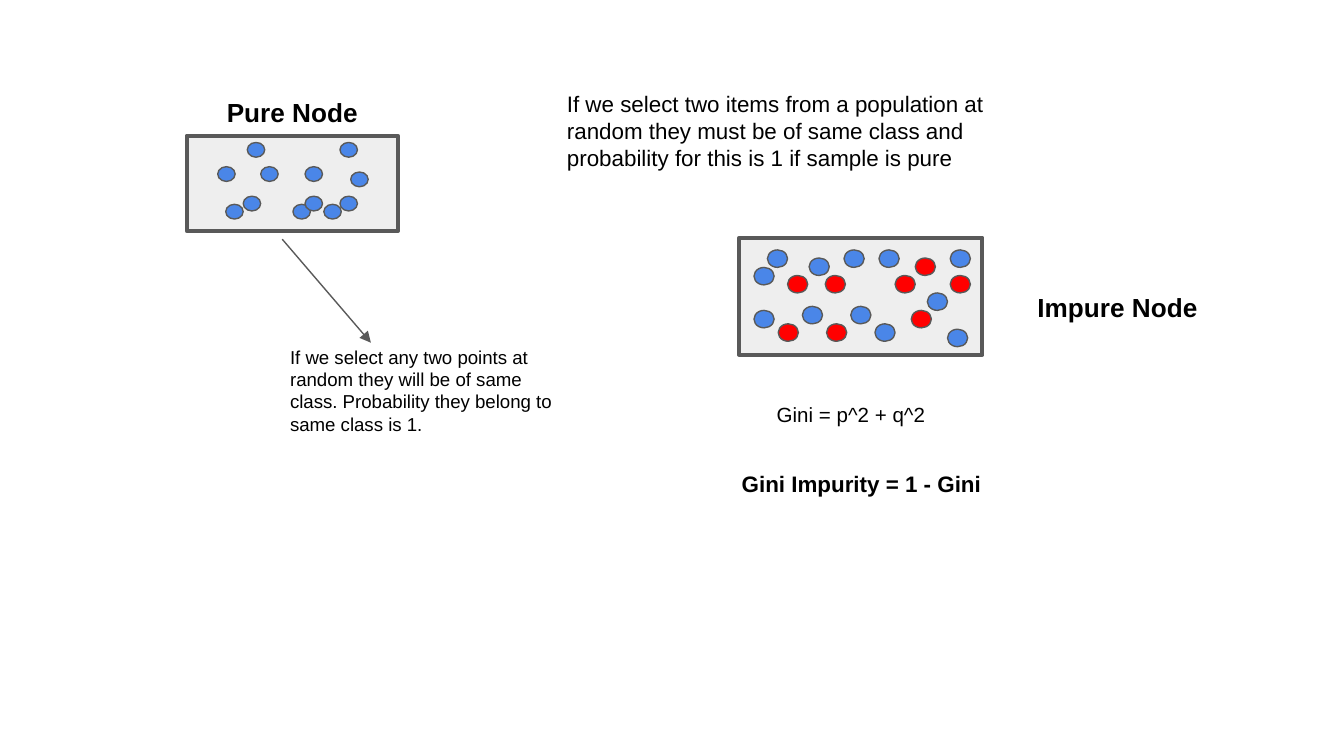
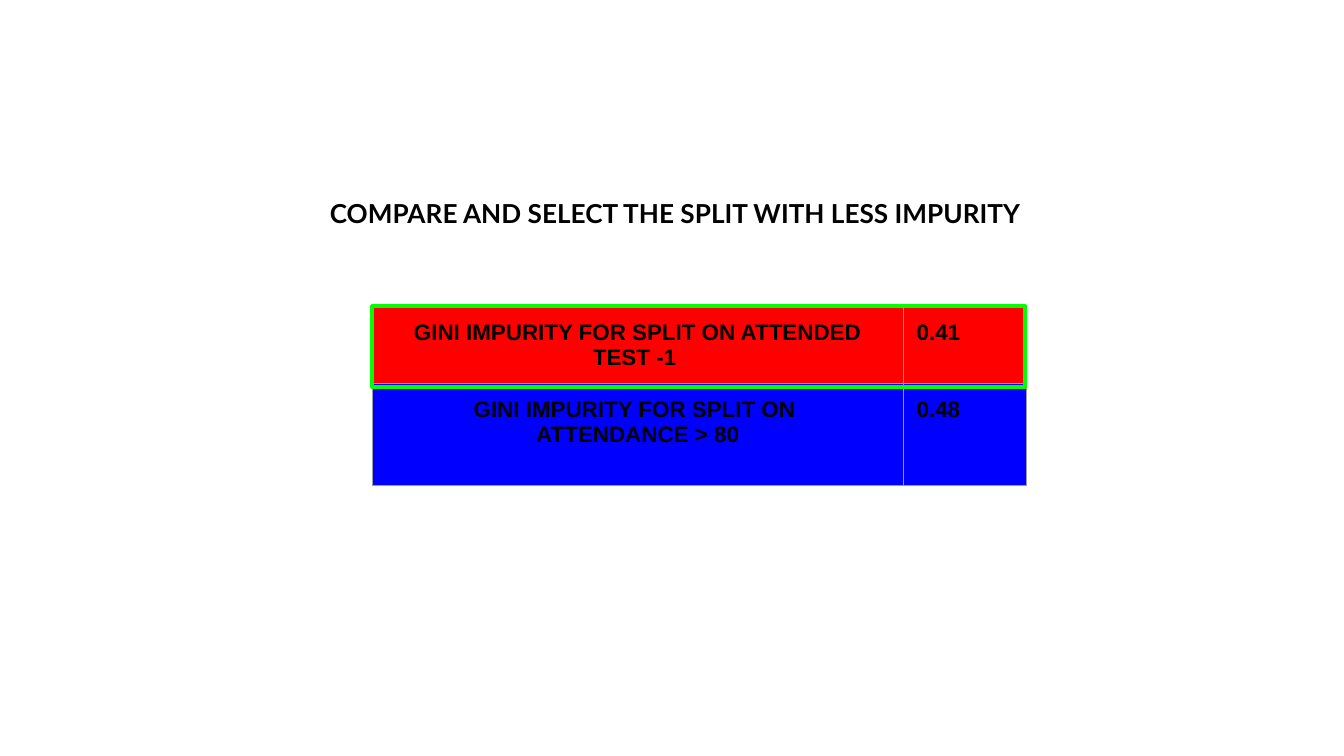
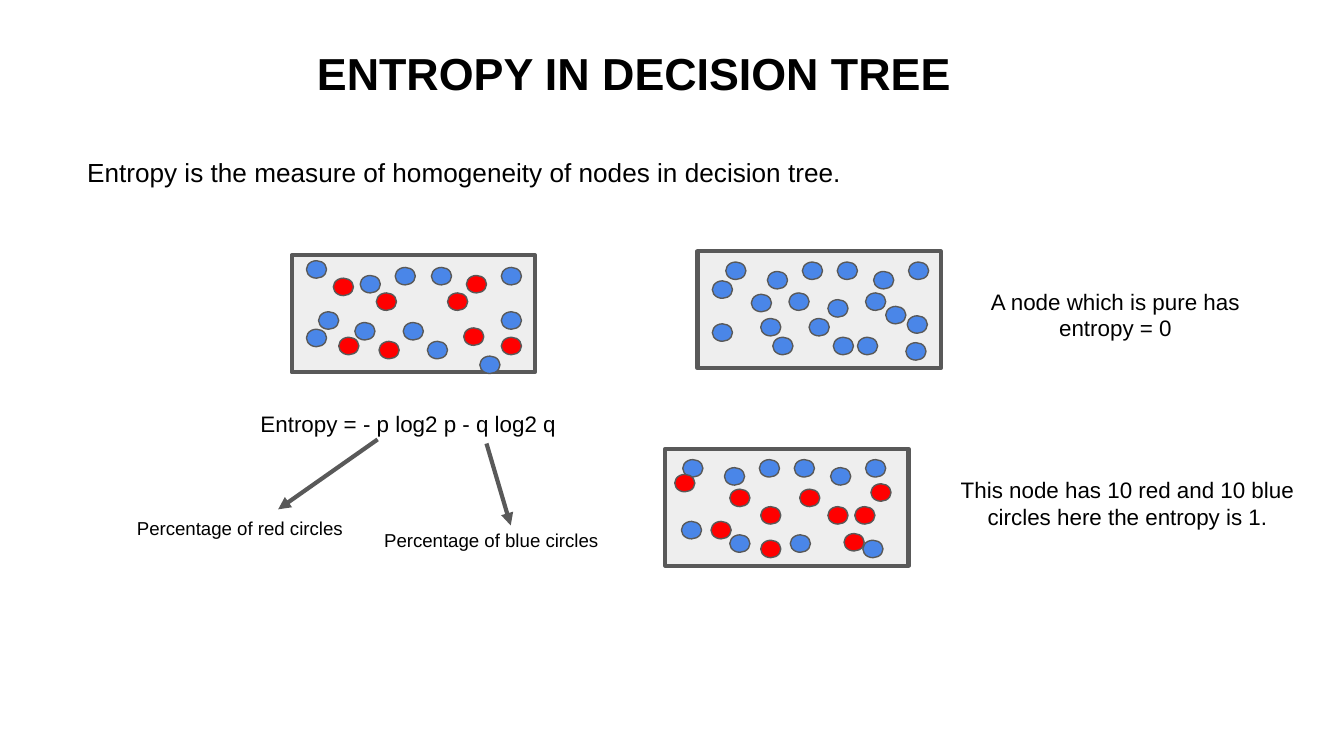
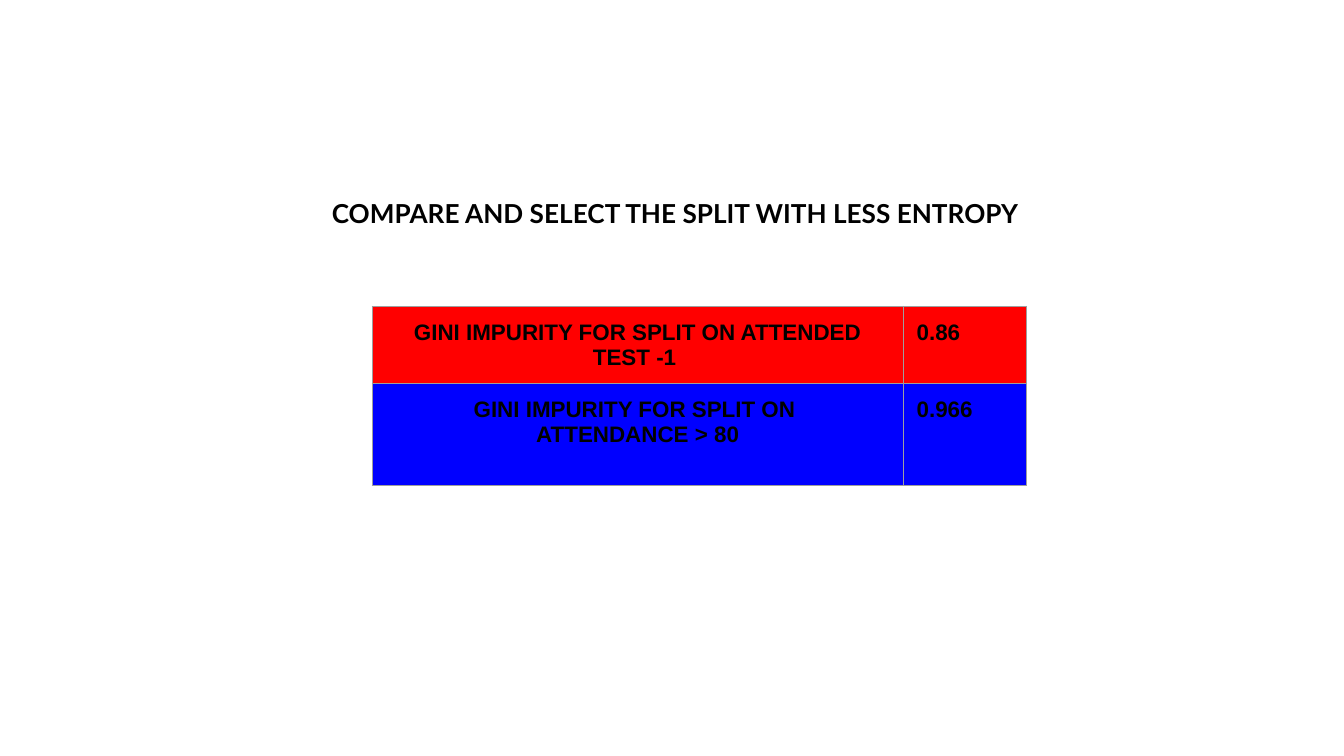
from lxml import etree
from pptx import Presentation
from pptx.dml.color import RGBColor
from pptx.enum import shapes, text
from pptx.oxml import ns
from pptx.util import Inches, Pt

COLORS = {"text": "000000", "box": "EEEEEE", "edge": "595959", "blue": "4A86E8",
          "red": "FF0000", "row_blue": "0000FF", "grid": "9E9E9E", "pick": "00FF00"}
CENTER = text.PP_ALIGN.CENTER
INSET = 0.1

# Nodes: box, dot size and the top left corners of the dots
PURE = dict(
    box=(1.39, 1.01, 1.57, 0.71), dot=(0.13, 0.11),
    blue=[(2.61, 1.28), (1.84, 1.06), (1.62, 1.24), (2.18, 1.52), (1.94, 1.24), (1.81, 1.46),
          (2.27, 1.24), (2.53, 1.06), (1.68, 1.52), (2.53, 1.46), (2.27, 1.46), (2.41, 1.52)])
IMPURE = dict(
    box=(5.5, 1.77, 1.81, 0.87), dot=(0.15, 0.13),
    blue=[(6.9, 2.18), (6.02, 1.92), (5.61, 1.99), (6.28, 1.86), (5.97, 2.28), (5.61, 2.31),
          (6.33, 2.28), (7.07, 1.86), (5.71, 1.86), (7.05, 2.45), (6.51, 2.41), (6.54, 1.86)],
    red=[(6.66, 2.05), (6.14, 2.05), (6.78, 2.31), (6.15, 2.41),
         (5.86, 2.05), (6.81, 1.92), (5.79, 2.41), (7.07, 2.05)])
MIXED = dict(
    box=(2.17, 1.9, 1.81, 0.87), dot=(0.15, 0.13),
    blue=[(3.57, 2.65), (2.68, 2.05), (2.28, 2.45), (2.94, 1.99), (2.64, 2.4), (2.28, 1.94),
          (3, 2.4), (3.73, 2.32), (2.37, 2.32), (3.73, 1.99), (3.18, 2.54), (3.21, 1.99)],
    red=[(3.33, 2.18), (2.8, 2.18), (3.45, 2.44), (2.82, 2.54),
         (2.52, 2.51), (3.47, 2.05), (2.48, 2.07), (3.73, 2.51)])
ZERO_ENTROPY = dict(
    box=(5.19, 1.87, 1.81, 0.87), dot=(0.15, 0.13),
    blue=[(6.59, 2.28), (5.71, 2.02), (5.3, 2.09), (5.97, 1.95), (5.66, 2.37), (5.3, 2.41),
          (6.02, 2.37), (6.76, 1.95), (5.4, 1.95), (6.74, 2.55), (6.2, 2.51), (6.23, 1.95),
          (5.87, 2.18), (6.16, 2.23), (6.38, 2.51), (6.44, 2.18), (5.75, 2.51), (5.59, 2.19),
          (6.5, 2.02), (6.75, 2.35)])
FULL_ENTROPY = dict(
    box=(4.95, 3.34, 1.81, 0.87), dot=(0.15, 0.13),
    blue=[(5.39, 3.48), (5.65, 3.42), (5.07, 3.88), (6.44, 3.42), (5.08, 3.42),
          (6.42, 4.02), (5.88, 3.98), (5.91, 3.42), (5.43, 3.98), (6.18, 3.48)],
    red=[(5.95, 3.64), (5.43, 3.64), (6.36, 3.77), (5.66, 3.77), (5.29, 3.88),
         (6.16, 3.77), (5.02, 3.53), (6.28, 3.97), (5.66, 4.02), (6.48, 3.6)])

# Diagram slides: arrows are (from, to, width), labels are (text, place, format)
GINI = dict(
    nodes=[PURE, IMPURE],
    arrows=[((2.1, 1.78), (2.76, 2.55), 0.75)],
    labels=[
        ("If we select two items from a population at random they must be of same class "
         "and probability for this is 1 if sample is pure", (4.12, 0.57, 3.56, 0.87), {}),
        ("If we select any two points at random they will be of same class. "
         "Probability they belong to same class is 1.", (2.06, 2.47, 2.19, 0.78), dict(size=10)),
        ("Gini = p^2 + q^2", (5.68, 2.9, 1.45, 0.41), dict(size=11)),
        ("Gini Impurity = 1 - Gini", (5.4, 3.4, 2.02, 0.49), dict(bold=True, align=CENTER)),
        ("Pure Node", (1.34, 0.62, 1.67, 0.27), dict(size=14, bold=True, align=CENTER)),
        ("Impure Node", (7.48, 2.07, 1.67, 0.27), dict(size=14, bold=True, align=CENTER))])
ENTROPY = dict(
    nodes=[MIXED, ZERO_ENTROPY, FULL_ENTROPY],
    arrows=[((2.81, 3.27), (2.07, 3.79), 2.25), ((3.62, 3.3), (3.8, 3.91), 2.25)],
    labels=[
        ("ENTROPY IN DECISION TREE", (2.26, 0.24, 5.22, 0.58), dict(size=24, bold=True)),
        ("Entropy is the measure of homogeneity of nodes in decision tree.",
         (0.55, 1.06, 5.83, 0.58), dict(size=14)),
        ("Entropy = - p log2 p - q log2 q", (1.84, 2.95, 2.46, 0.41), {}),
        ("A node which is pure has entropy = 0", (7.07, 2.04, 2.46, 0.41), dict(align=CENTER)),
        ("This node has 10 red and 10 blue circles here the entropy is 1.",
         (7, 3.44, 2.78, 0.68), dict(align=CENTER)),
        ("Percentage of red circles", (0.92, 3.76, 1.88, 0.28), dict(size=10)),
        ("Percentage of blue circles", (2.76, 3.85, 1.88, 0.28), dict(size=10))])

# Comparison slides
SPLITS = ["GINI IMPURITY FOR SPLIT ON ATTENDED TEST -1 ",
          "GINI IMPURITY FOR SPLIT ON \nATTENDANCE > 80"]
SPLIT_FILLS = ["red", "row_blue"]
TABLE_LEFT, TABLE_TOP = 2.77, 2.28
COL_WIDTHS, ROW_HEIGHTS = (3.95, 0.92), (0.53, 0.76)
PICK_SIZE = (4.86, 0.6)


def rgb(name):
    return RGBColor.from_string(COLORS[name])


def inches(values):
    return [Inches(v) for v in values]


def write(tf, content, size=12, bold=False, font="Arial", align=None):
    for i, line in enumerate(content.split("\n")):
        p = tf.add_paragraph() if i else tf.paragraphs[0]
        if align is not None:
            p.alignment = align
        r = p.add_run()
        r.text = line
        r.font.name, r.font.size, r.font.bold = font, Pt(size), bold
        r.font.color.rgb = rgb("text")


def add_label(s, content, place, **fmt):
    tf = s.shapes.add_textbox(*inches(place)).text_frame
    tf.word_wrap = True
    tf.margin_left = tf.margin_top = tf.margin_right = tf.margin_bottom = Inches(INSET)
    write(tf, content, **fmt)


def add_filled(s, kind, place, fill, width):
    sp = s.shapes.add_shape(kind, *inches(place))
    sp.shadow.inherit = False
    sp.fill.solid()
    sp.fill.fore_color.rgb = rgb(fill)
    sp.line.color.rgb = rgb("edge")
    sp.line.width = Pt(width)


def add_node(s, node):
    add_filled(s, shapes.MSO_SHAPE.RECTANGLE, node["box"], "box", 2.25)
    for color in ("blue", "red"):
        for corner in node.get(color, []):
            add_filled(s, shapes.MSO_SHAPE.OVAL, corner + node["dot"], color, 0.75)


def add_arrow(s, start, end, width):
    c = s.shapes.add_connector(shapes.MSO_CONNECTOR.STRAIGHT, *inches(start + end))
    c.line.color.rgb = rgb("edge")
    c.line.width = Pt(width)
    ln = c._element.spPr.find(ns.qn("a:ln"))
    etree.SubElement(ln, ns.qn("a:tailEnd"), type="triangle")
    etree.SubElement(c._element.spPr, ns.qn("a:effectLst"))


def set_borders(cell):
    tc_pr = cell._tc.get_or_add_tcPr()
    for i, side in enumerate(("lnL", "lnR", "lnT", "lnB")):
        ln = etree.Element(ns.qn("a:" + side), w=str(Pt(0.75)))
        fill = etree.SubElement(ln, ns.qn("a:solidFill"))
        etree.SubElement(fill, ns.qn("a:srgbClr"), val=COLORS["grid"])
        etree.SubElement(ln, ns.qn("a:prstDash"), val="solid")
        tc_pr.insert(i, ln)


def add_split_table(s, values):
    place = (TABLE_LEFT, TABLE_TOP, sum(COL_WIDTHS), sum(ROW_HEIGHTS))
    table = s.shapes.add_table(len(SPLITS), len(COL_WIDTHS), *inches(place)).table
    table.first_row = table.horz_banding = False
    for col, width in zip(table.columns, COL_WIDTHS):
        col.width = Inches(width)
    for row, height, fill, *contents in zip(table.rows, ROW_HEIGHTS, SPLIT_FILLS, SPLITS, values):
        row.height = Inches(height)
        for cell, content, align in zip(row.cells, contents, (CENTER, None)):
            cell.margin_left = cell.margin_right = Inches(INSET)
            cell.margin_top = cell.margin_bottom = Inches(INSET)
            cell.fill.solid()
            cell.fill.fore_color.rgb = rgb(fill)
            set_borders(cell)
            write(cell.text_frame, content, bold=True, align=align)


def add_pick_outline(s):
    left, top, width, height = inches((TABLE_LEFT, TABLE_TOP) + PICK_SIZE)
    right, bottom = left + width, top + height
    outline = s.shapes.build_freeform(left, top)
    outline.add_line_segments([(left, bottom), (right, bottom), (right, top)], close=True)
    sp = outline.convert_to_shape()
    sp.shadow.inherit = False
    sp.fill.background()
    sp.line.color.rgb = rgb("pick")
    sp.line.width = Pt(2.25)


def new_slide(prs):
    return prs.slides.add_slide(prs.slide_layouts[6])


def diagram_slide(prs, diagram):
    s = new_slide(prs)
    for node in diagram["nodes"]:
        add_node(s, node)
    for arrow in diagram["arrows"]:
        add_arrow(s, *arrow)
    for content, place, fmt in diagram["labels"]:
        add_label(s, content, place, **fmt)


def compare_slide(prs, measure, values, picked=False):
    s = new_slide(prs)
    add_split_table(s, values)
    add_label(s, f"COMPARE AND SELECT THE SPLIT WITH LESS {measure}", (2.31, 1.37, 5.43, 0.42),
              size=14, bold=True, font="Lato", align=CENTER)
    if picked:
        add_pick_outline(s)


def main():
    prs = Presentation()
    # 16:9 page
    prs.slide_width = Inches(10)
    prs.slide_height = Inches(10) * 9 // 16
    diagram_slide(prs, GINI)
    compare_slide(prs, "IMPURITY", ["0.41", "0.48"], picked=True)
    diagram_slide(prs, ENTROPY)
    compare_slide(prs, "ENTROPY", ["0.86", "0.966"])
    prs.save("out.pptx")


if __name__ == "__main__":
    main()
